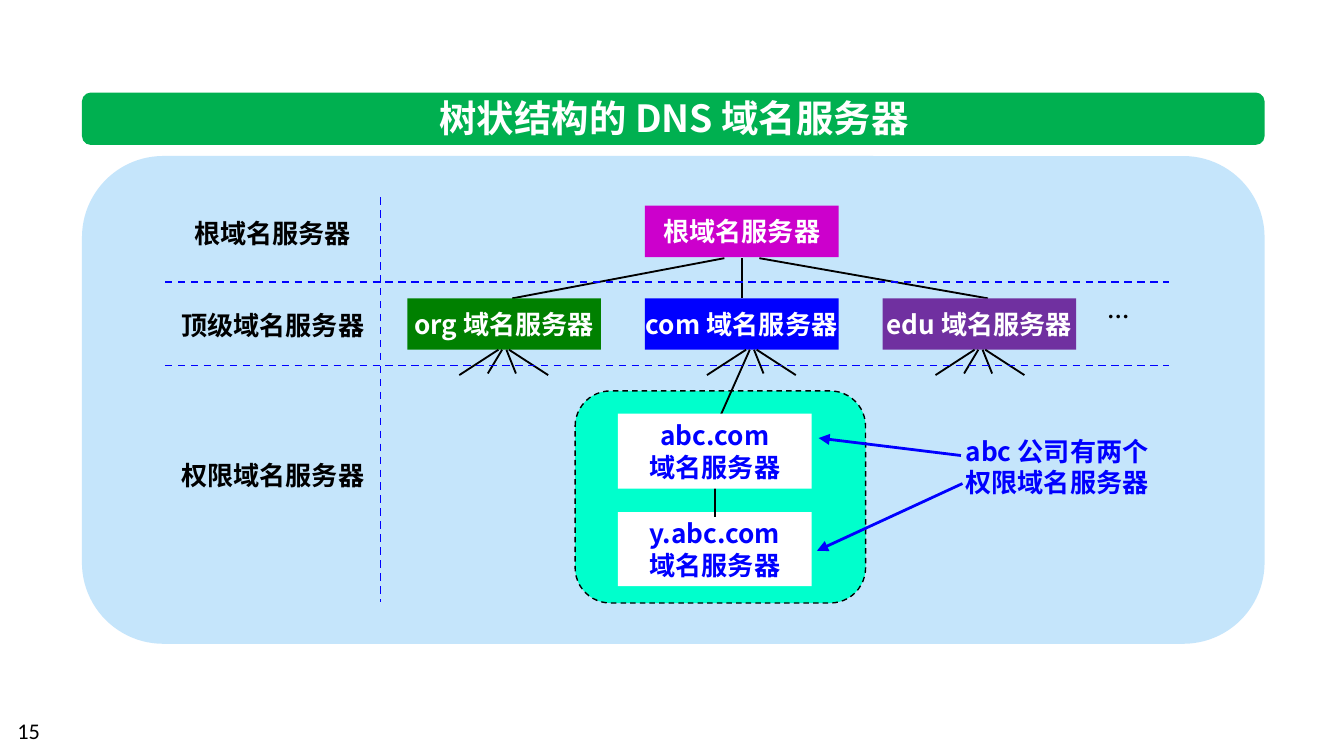
from lxml import etree
from pptx import Presentation
from pptx.dml.color import RGBColor
from pptx.enum.dml import MSO_LINE
from pptx.enum.shapes import MSO_CONNECTOR, MSO_SHAPE
from pptx.enum.text import MSO_ANCHOR, PP_ALIGN
from pptx.oxml.ns import qn
from pptx.util import Cm, Pt

RECT, ROUND = MSO_SHAPE.RECTANGLE, MSO_SHAPE.ROUNDED_RECTANGLE
LINE, DASH = MSO_CONNECTOR.STRAIGHT, MSO_LINE.DASH
LEFT, MID = PP_ALIGN.LEFT, PP_ALIGN.CENTER
TOP, CENTER = MSO_ANCHOR.TOP, MSO_ANCHOR.MIDDLE

BLACK = RGBColor(0, 0, 0)
WHITE = RGBColor(255, 255, 255)
BLUE = RGBColor(0, 0, 255)
SKY = RGBColor(0xC5, 0xE5, 0xFB)
GREEN = RGBColor(0, 0xB0, 0x50)
MINT = RGBColor(0, 255, 0xCC)
PINK = RGBColor(0xCC, 0, 0xCC)
LEAF = RGBColor(0, 0x80, 0)
PLUM = RGBColor(0x70, 0x30, 0xA0)

SANS = "Noto Sans CJK SC"
BOLD = {"name": SANS, "size": Pt(14), "bold": True}
HEAD = {"name": SANS, "size": Pt(20), "bold": True}
SMALL = {"name": SANS, "size": Pt(12), "bold": True}
PAGE = {"name": "Calibri", "size": Pt(12), "bold": False}

TITLE = "树状结构的 DNS 域名服务器"
ROOT = "根域名服务器"
ZONES = [("org 域名服务器", LEAF), ("com 域名服务器", BLUE), ("edu 域名服务器", PLUM)]
HOSTS = [("y.abc.com", 9.68, 1.4), ("abc.com", 7.82, 1.42)]
LEVELS = [("根域名服务器", 3.99), ("顶级域名服务器", 5.72), ("权限域名服务器", 8.56)]
NOTE = ["abc 公司有两个", "权限域名服务器"]

NODE_W, NODE_H = 3.66, 0.97
NODE_X, STEP = 7.7, 4.49
ROOT_Y, ZONE_Y = 3.89, 5.64
BASE = ZONE_Y + NODE_H

TRUNKS = [(9.68, 13.69), (14.02, 14.02), (18.67, 14.35)]
FANS = [9.52, 14.2, 18.52]
TWIGS = [(0.1, 0.84, 7.09), (0.05, 0.23, 7.06), (-0.1, -0.84, 7.09)]
LAST = [(-0.03, -0.3, 7.06), (-0.03, -0.59, 7.87), (-0.03, -0.3, 7.06)]
GRID = [(3.12, 5.33, 22.1, 5.33), (3.12, 6.91, 22.1, 6.91), (7.19, 3.73, 7.19, 11.38)]
ARROWS = [(18.16, 8.61, 15.47, 8.28), (18.19, 9.14, 15.44, 10.41)]

deck = Presentation()
deck.slide_width, deck.slide_height = Cm(25.4), Cm(14.29)
shapes = deck.slides.add_slide(deck.slide_layouts[6]).shapes


def write(shape, rows, form, color, align=MID, anchor=CENTER, wrap=False):
    frame = shape.text_frame
    frame.word_wrap, frame.vertical_anchor = wrap, anchor
    for i, row in enumerate(rows):
        para = frame.add_paragraph() if i else frame.paragraphs[0]
        para.alignment = align
        run = para.add_run()
        run.text = row
        for key, value in form.items():
            setattr(run.font, key, value)
        run.font.color.rgb = color
        east = etree.SubElement(run.font._element, qn("a:ea"))
        east.set("typeface", form["name"])


def block(kind, box, fill):
    shape = shapes.add_shape(kind, *map(Cm, box))
    shape.shadow.inherit = False
    shape.fill.solid()
    shape.fill.fore_color.rgb = fill
    shape.line.fill.background()
    return shape


def label(box, rows, form, color, align=MID, wrap=False):
    write(shapes.add_textbox(*map(Cm, box)), rows, form, color, align, TOP, wrap)


def stroke(ends, color=BLACK, width=1, dash=None, arrow=False):
    link = shapes.add_connector(LINE, *map(Cm, ends))
    link.line.color.rgb = color
    link.line.width = Pt(width)
    if dash:
        link.line.dash_style = dash
    if arrow:
        tail = etree.SubElement(link.line._get_or_add_ln(), qn("a:tailEnd"))
        tail.set("type", "triangle")
    etree.SubElement(link._element.spPr, qn("a:effectLst"))


block(ROUND, (1.55, 2.95, 22.35, 9.22), SKY)
block(ROUND, (1.55, 1.75, 22.35, 0.99), GREEN)
label((7.8, 1.68, 9.88, 1.12), [TITLE], HEAD, WHITE)

group = block(ROUND, (10.87, 7.39, 5.49, 4.01), MINT)
group.line.color.rgb = BLACK
group.line.width = Pt(0.75)
group.line.dash_style = DASH

for low, high in TRUNKS:
    stroke((low, ZONE_Y, high, ROOT_Y + NODE_H + 0.02))
root = block(RECT, (NODE_X + STEP, ROOT_Y, NODE_W, NODE_H), PINK)
write(root, [ROOT], BOLD, WHITE)
for i, (name, fill) in enumerate(ZONES):
    node = block(RECT, (NODE_X + i * STEP, ZONE_Y, NODE_W, NODE_H), fill)
    write(node, [name], BOLD, WHITE)
for x, last in zip(FANS, LAST):
    for start, end, y in TWIGS + [last]:
        stroke((x + start, BASE, x + end, y))
label((20.68, 5.61, 0.91, 0.76), ["…"], SMALL, BLACK, LEFT)

for i, (name, y, high) in enumerate(HOSTS):
    host = block(RECT, (11.68, y, NODE_W, high), WHITE)
    write(host, [name, "域名服务器"], BOLD, BLUE)
    if i == 0:
        stroke((13.51, 8.84, 13.51, 9.78))

for ends in GRID:
    stroke(ends, BLUE, dash=DASH)
for ends in ARROWS:
    stroke(ends, BLUE, 1.5, arrow=True)
label((17.96, 8.1, 4.04, 1.45), NOTE, BOLD, BLUE, wrap=True)
for name, y in LEVELS:
    label((3.15, y, 4.01, 0.86), [name], BOLD, BLACK)
label((0.08, 13.44, 5.92, 0.76), ["15"], PAGE, BLACK, LEFT, True)

deck.save("out.pptx")
